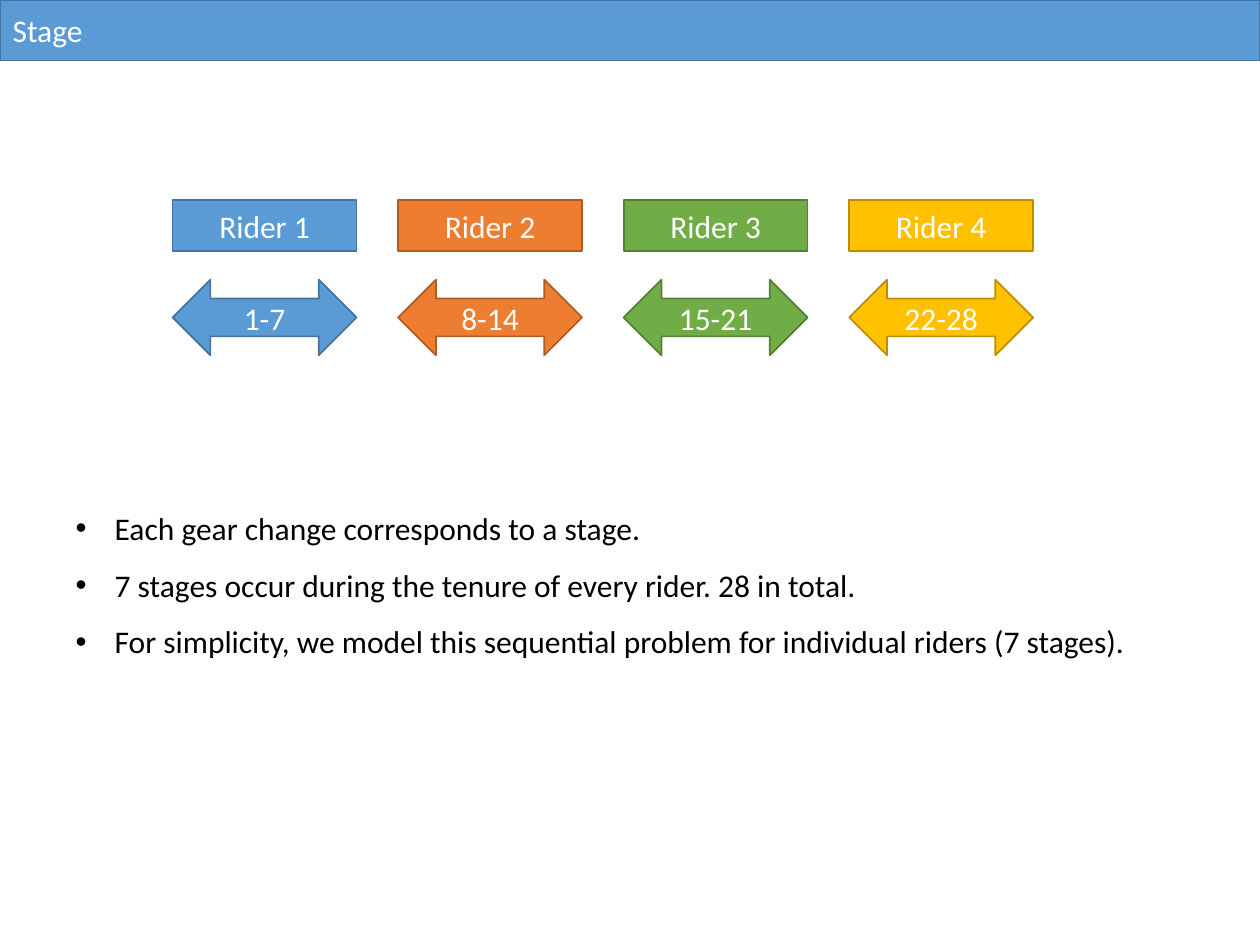
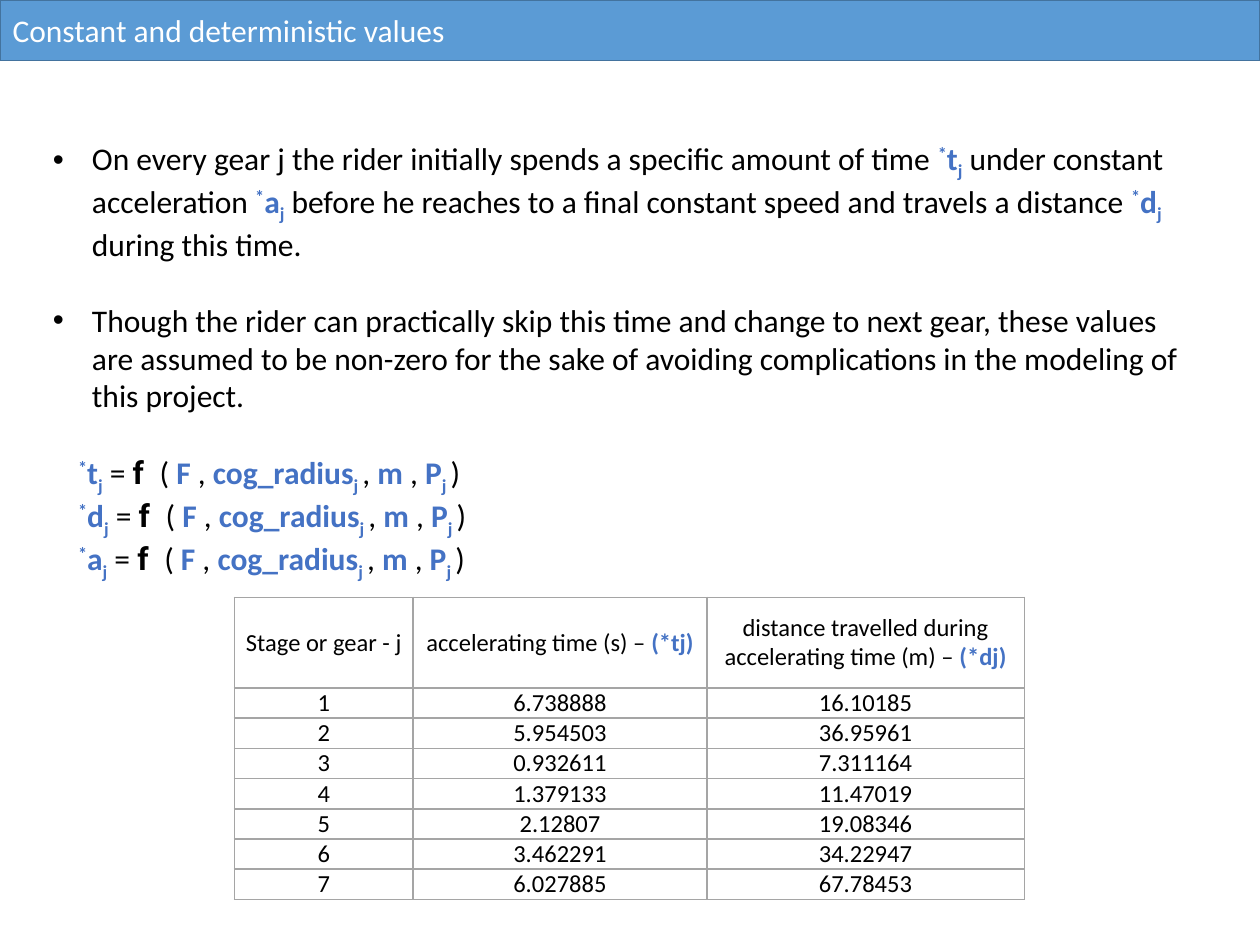
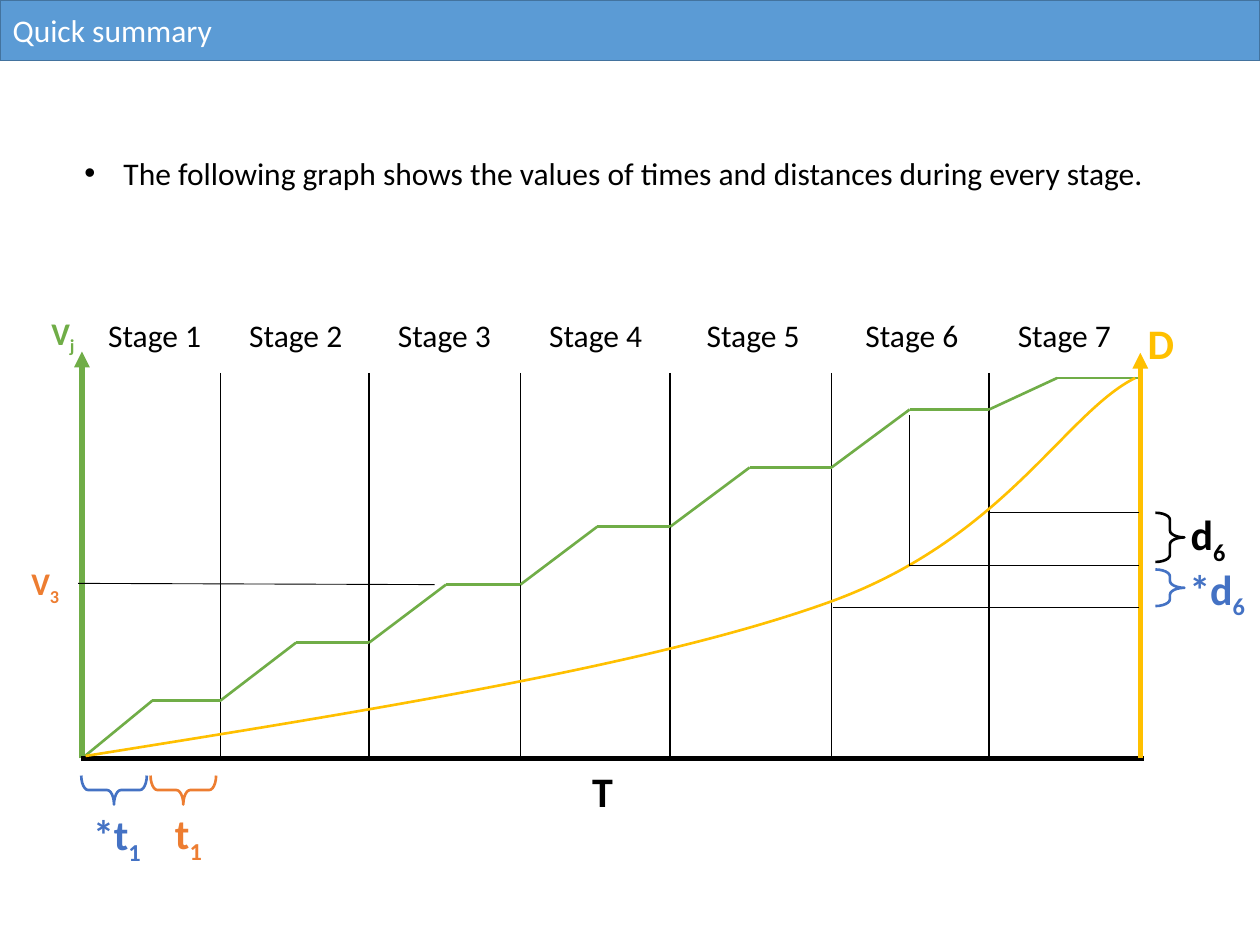
from pptx import Presentation
from pptx.dml.color import RGBColor
from pptx.enum.shapes import MSO_CONNECTOR, MSO_SHAPE
from pptx.enum.text import MSO_ANCHOR, MSO_AUTO_SIZE, PP_ALIGN
from pptx.oxml.ns import qn
from pptx.util import Inches, Pt
from lxml import etree

LEFT, CENTER = PP_ALIGN.LEFT, PP_ALIGN.CENTER
TOP, MIDDLE = MSO_ANCHOR.TOP, MSO_ANCHOR.MIDDLE
NO_FIT = MSO_AUTO_SIZE.NONE
STRAIGHT = MSO_CONNECTOR.STRAIGHT
RECT, ARROW, BRACE = MSO_SHAPE.RECTANGLE, MSO_SHAPE.LEFT_RIGHT_ARROW, MSO_SHAPE.LEFT_BRACE

WHITE = RGBColor(0xFF, 0xFF, 0xFF)
BLACK = RGBColor(0, 0, 0)
SKY, SKY_EDGE = RGBColor(0x5B, 0x9B, 0xD5), RGBColor(0x43, 0x73, 0x9E)
ORANGE, ORANGE_EDGE = RGBColor(0xED, 0x7D, 0x31), RGBColor(0xAF, 0x5C, 0x24)
GREEN, GREEN_EDGE = RGBColor(0x70, 0xAD, 0x47), RGBColor(0x53, 0x80, 0x35)
GOLD, GOLD_EDGE = RGBColor(0xFF, 0xC0, 0x00), RGBColor(0xBD, 0x8E, 0x00)
BLUE = RGBColor(0x44, 0x72, 0xC4)
GRID = RGBColor(0xA5, 0xA5, 0xA5)
FONT, FORMULA_FONT = "Calibri", "Roboto"

# Run styles: colour, bold, baseline in percent, font
PLAIN = (BLACK, False, 0, FONT)
SYMBOL = (BLUE, True, 0, FONT)
SUPER = (BLUE, True, 30, FONT)
SUB = (BLUE, True, -25, FONT)
FUNCTION = (BLACK, True, 0, FORMULA_FONT)


# ---- Shared helpers ----
def add_runs(p, runs, size=18):
    for text, (color, bold, base, font) in runs:
        r = p.add_run()
        r.text = text
        r.font.name, r.font.size = font, Pt(size)
        r.font.bold, r.font.color.rgb = bold, color
        if base:
            r._r.get_or_add_rPr().set("baseline", str(base * 1000))


def place(shape, box):
    shape.left, shape.top, shape.width, shape.height = (Inches(v) for v in box)


def outline(shape, color, width):
    shape.line.color.rgb = color
    shape.line.width = Pt(width)


def add_label(s, box, text, color=BLACK, size=18, bold=False, sub=""):
    tf = s.shapes.add_textbox(*(Inches(v) for v in box)).text_frame
    tf.word_wrap = True
    runs = [(text, (color, bold, 0, FONT))]
    if sub:
        runs.append((sub, (color, bold, -25, FONT)))
    add_runs(tf.paragraphs[0], runs, size)


def add_block(s, kind, box, text, fill, edge):
    sp = s.shapes.add_shape(kind, *(Inches(v) for v in box))
    sp.shadow.inherit = False
    sp.fill.solid()
    sp.fill.fore_color.rgb = fill
    outline(sp, edge, 1)
    sp.text_frame.vertical_anchor = MIDDLE
    p = sp.text_frame.paragraphs[0]
    p.alignment = CENTER
    add_runs(p, [(text, (WHITE, False, 0, FONT))])


def add_line(s, start, end, color=BLACK, width=1.0, arrow=False):
    c = s.shapes.add_connector(STRAIGHT, *(Inches(v) for v in (*start, *end)))
    outline(c, color, width)
    if arrow:
        etree.SubElement(c.line._get_or_add_ln(), qn("a:tailEnd"), type="triangle")
    etree.SubElement(c._element.spPr, qn("a:effectLst"))


def add_brace(s, box, rotation, color):
    sp = s.shapes.add_shape(BRACE, *(Inches(v) for v in box))
    sp.shadow.inherit = False
    sp.rotation = rotation
    sp.adjustments[0] = 0.24
    sp.fill.background()
    outline(sp, color, 1.5)


def new_slide(prs, title):
    """Slide with the title placeholder as a band across the top."""
    s = prs.slides.add_slide(prs.slide_layouts[1])
    band = s.shapes.title
    place(band, (0, 0, 10, 0.48))
    band.fill.solid()
    band.fill.fore_color.rgb = SKY
    outline(band, SKY_EDGE, 1)
    tf = band.text_frame
    tf.auto_size, tf.vertical_anchor = NO_FIT, MIDDLE
    tf.paragraphs[0].alignment = LEFT
    add_runs(tf.paragraphs[0], [(title, (WHITE, False, 0, FONT))])
    return s


def fill_body(s, box, paragraphs, spacing=1.0):
    """Paragraphs are (runs, bulleted, points before)."""
    body = s.placeholders[1]
    place(body, box)
    tf = body.text_frame
    tf.auto_size, tf.vertical_anchor, tf.word_wrap = NO_FIT, TOP, True
    for i, (runs, bulleted, before) in enumerate(paragraphs):
        p = tf.paragraphs[0] if i == 0 else tf.add_paragraph()
        p.alignment, p.line_spacing = LEFT, spacing
        p.space_before, p.space_after = Pt(before), Pt(0)
        pPr = p._p.get_or_add_pPr()
        pPr.set("marL", str(Inches(0.31 if bulleted else 0.2)))
        pPr.set("indent", str(Inches(-0.31 if bulleted else 0)))
        if not bulleted:
            etree.SubElement(pPr, qn("a:buNone"))
        add_runs(p, runs)


# ---- Slide 1: stages per rider ----
def rider_row(s, left, top, pitch, width):
    riders = [("1-7", SKY, SKY_EDGE), ("8-14", ORANGE, ORANGE_EDGE),
              ("15-21", GREEN, GREEN_EDGE), ("22-28", GOLD, GOLD_EDGE)]
    for i, (stages, fill, edge) in enumerate(riders):
        x = left + i * pitch
        add_block(s, RECT, (x, top, width, 0.4), f"Rider {i + 1}", fill, edge)
        add_block(s, ARROW, (x, top + 0.63, width, 0.6), stages, fill, edge)


def stage_slide(prs):
    s = new_slide(prs, "Stage")
    lines = ["Each gear change corresponds to a stage.",
             "7 stages occur during the tenure of every rider. 28 in total.",
             "For simplicity, we model this sequential problem for individual riders (7 stages)."]
    fill_body(s, (0.5, 3.84, 8.67, 1.42), [([(t, PLAIN)], True, 0) for t in lines], 1.5)
    rider_row(s, 1.37, 1.59, 1.79, 1.46)


# ---- Slide 2: constants ----
def starred(letter):
    return [("*", SUPER), (letter, SYMBOL), ("j", SUB)]


def formula(letter):
    return starred(letter) + [
        (" = ", PLAIN), ("f  ", FUNCTION), ("( ", PLAIN), ("F", SYMBOL), (" , ", PLAIN),
        ("cog_radius", SYMBOL), ("j ", SUB), (", ", PLAIN), ("m ", SYMBOL), (", ", PLAIN),
        ("P", SYMBOL), ("j ", SUB), (")", PLAIN)]


def border_cell(cell):
    tcPr = cell._tc.get_or_add_tcPr()
    for side in ("lnL", "lnR", "lnT", "lnB"):
        ln = etree.SubElement(tcPr, qn(f"a:{side}"), w=str(Pt(1)))
        solid = etree.SubElement(ln, qn("a:solidFill"))
        etree.SubElement(solid, qn("a:srgbClr"), val=str(GRID))


def gear_table(s, left, top):
    header = [[("Stage or gear - j", PLAIN)],
              [("accelerating time (s) – ", PLAIN), ("(*tj)", SYMBOL)],
              [("distance travelled during accelerating time (m) – ", PLAIN), ("(*dj)", SYMBOL)]]
    values = [("6.738888", "16.10185"), ("5.954503", "36.95961"), ("0.932611", "7.311164"),
              ("1.379133", "11.47019"), ("2.12807", "19.08346"), ("3.462291", "34.22947"),
              ("6.027885", "67.78453")]
    rows = [header] + [[[(t, PLAIN)] for t in (str(j), *pair)]
                       for j, pair in enumerate(values, 1)]
    widths, heights = [1.42, 2.33, 2.52], [0.72] + [0.24] * len(values)
    table = s.shapes.add_table(len(rows), len(widths), Inches(left), Inches(top),
                               Inches(sum(widths)), Inches(sum(heights))).table
    table.first_row = table.horz_banding = False
    for col, w in zip(table.columns, widths):
        col.width = Inches(w)
    for i, row in enumerate(rows):
        table.rows[i].height = Inches(heights[i])
        for j, runs in enumerate(row):
            cell = table.cell(i, j)
            cell.margin_left = cell.margin_right = cell.margin_top = cell.margin_bottom = 0
            cell.vertical_anchor = MIDDLE
            border_cell(cell)
            cell.fill.background()
            p = cell.text_frame.paragraphs[0]
            p.alignment = CENTER
            add_runs(p, runs, 14)


def constants_slide(prs):
    s = new_slide(prs, "Constant and deterministic values")
    intro = [("On every gear j the rider initially spends a specific amount of time ", PLAIN),
             *starred("t"), (" under constant acceleration ", PLAIN),
             *starred("a"),
             (" before he reaches to a final constant speed and travels a distance ", PLAIN),
             *starred("d"), (" during this time.", PLAIN)]
    note = [("Though the rider can practically skip this time and change to next gear, these "
             "values are assumed to be non-zero for the sake of avoiding complications in the "
             "modeling of this project.", PLAIN)]
    fill_body(s, (0.32, 1.05, 9.14, 3.43),
              [(intro, True, 0), (note, True, 22), (formula("t"), False, 22),
               (formula("d"), False, 0), (formula("a"), False, 0)])
    gear_table(s, 1.86, 4.74)


# ---- Slide 3: speed and distance graph ----
BOUNDS = [0.65, 1.75, 2.93, 4.13, 5.32, 6.6, 7.85, 9.05]
KNEES = [1.21, 2.35, 3.54, 4.74, 5.95, 7.22, 8.39]
LEVELS = [6.02, 5.56, 5.1, 4.64, 4.18, 3.71, 3.25, 3]
LABELS = [0.76, 1.88, 3.06, 4.26, 5.51, 6.77, 7.98]
BASE = 6.02


def distance_curve(s):
    """Two joined cubic curves: a start, then control, control, end."""
    points = [(0.68, 6), (2.93, 5.64), (5.19, 5.28), (6.58, 4.78),
              (7.97, 4.28), (8.45, 3.28), (9.01, 3)]
    emu = [(Inches(x), Inches(y)) for x, y in points]
    builder = s.shapes.build_freeform(*emu[0])
    builder.add_line_segments(emu[1:], close=False)
    sp = builder.convert_to_shape()
    sp.shadow.inherit = False
    sp.fill.background()
    outline(sp, GOLD, 1.5)
    segments = list(sp._element.iter(qn("a:lnTo")))
    for i in range(0, len(segments), 3):
        curve = etree.SubElement(segments[i].getparent(), qn("a:cubicBezTo"))
        for seg in segments[i:i + 3]:
            curve.append(seg[0])
            seg.getparent().remove(seg)


def speed_graph(s):
    # Axes and stage boundaries
    add_line(s, (BOUNDS[0], BASE), (BOUNDS[0], 2.79), GREEN, 3, arrow=True)
    for x in BOUNDS[1:-1]:
        add_line(s, (x, 2.96), (x, BASE))
    # Each stage accelerates, then holds its speed
    for i, knee in enumerate(KNEES):
        add_line(s, (BOUNDS[i], LEVELS[i]), (knee, LEVELS[i + 1]), GREEN, 1.5)
        add_line(s, (knee, LEVELS[i + 1]), (BOUNDS[i + 1], LEVELS[i + 1]), GREEN, 1.5)
        add_label(s, (LABELS[i], 2.46, 0.96, 0.4), f"Stage {i + 1}")
    add_line(s, (0.64, BASE), (9.08, BASE), BLACK, 3)
    add_line(s, (BOUNDS[-1], BASE), (BOUNDS[-1], 2.8), GOLD, 3, arrow=True)
    distance_curve(s)
    # Guide lines
    for start, end in [((0.62, 4.63), (3.45, 4.64)), ((7.85, 4.07), (9.04, 4.07)),
                       ((6.61, 4.82), (9.04, 4.82)), ((7.22, 4.49), (9.04, 4.49)),
                       ((7.22, 4.49), (7.22, 3.29))]:
        add_line(s, start, end, BLACK, 0.5)


def graph_notes(s):
    add_brace(s, (0.79, 6.01, 0.23, 0.52), 270, BLUE)
    add_brace(s, (1.34, 6.01, 0.23, 0.52), 270, ORANGE)
    add_brace(s, (9.17, 4.07, 0.23, 0.39), 180, BLACK)
    add_brace(s, (9.17, 4.52, 0.23, 0.29), 180, BLUE)
    for box, text, sub, color, size in [
            ((0.31, 2.44, 0.46, 0.4), "V", "j", GREEN, 18),
            ((0.15, 4.43, 0.46, 0.4), "V", "3", ORANGE, 18),
            ((0.64, 6.37, 0.66, 0.5), "*t", "1", BLUE, 24),
            ((1.29, 6.36, 0.52, 0.5), "t", "1", ORANGE, 24),
            ((4.6, 6.03, 0.52, 0.5), "T", "", BLACK, 24),
            ((9.01, 2.47, 0.52, 0.5), "D", "", GOLD, 24),
            ((9.35, 3.99, 0.59, 0.5), "d", "6", BLACK, 24),
            ((9.34, 4.42, 0.72, 0.5), "*d", "6", BLUE, 24)]:
        add_label(s, box, text, color, size, True, sub)


def summary_slide(prs):
    s = new_slide(prs, "Quick summary")
    text = "The following graph shows the values of times and distances during every stage."
    fill_body(s, (0.57, 1.17, 8.86, 0.4), [([(text, PLAIN)], True, 0)])
    speed_graph(s)
    graph_notes(s)


prs = Presentation()
prs.slide_width, prs.slide_height = Inches(10), Inches(7.5)
stage_slide(prs)
constants_slide(prs)
summary_slide(prs)
prs.save("out.pptx")
